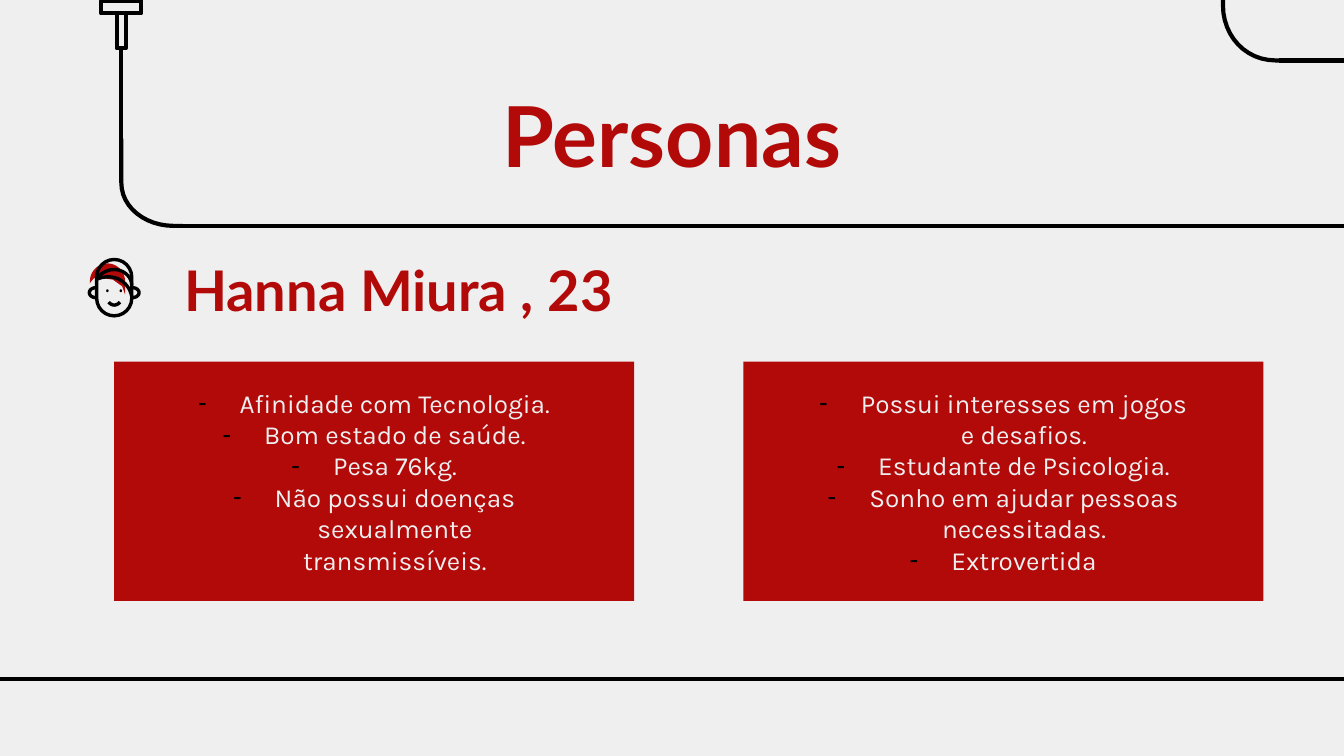
"""Build the "Personas" slide with one persona and two trait panels."""
import pptx
import pptx.util
import pptx.dml.color
import pptx.enum.shapes
import pptx.enum.text
import pptx.oxml.ns
from lxml import etree

Pt = pptx.util.Pt
RED = pptx.dml.color.RGBColor(0xB2, 0x09, 0x09)
BLACK = pptx.dml.color.RGBColor(0, 0, 0)
PAPER = pptx.dml.color.RGBColor(0xEF, 0xEF, 0xEF)
SHAPE = pptx.enum.shapes.MSO_SHAPE
ANCHOR = pptx.enum.text.MSO_ANCHOR
STROKE = 2.25
FACE_STROKE = 1.8


class PersonaSlide:
    def __init__(self, deck, layout_index):
        self.slide = deck.slides.add_slide(deck.slide_layouts[layout_index])
        self.slide.background.fill.solid()
        self.slide.background.fill.fore_color.rgb = PAPER

    def paint(self, shape, fill=None, stroke=None):
        shape.shadow.inherit = False
        if fill is None:
            shape.fill.background()
        else:
            shape.fill.solid()
            shape.fill.fore_color.rgb = fill
        if stroke is None:
            shape.line.fill.background()
        else:
            shape.line.color.rgb = BLACK
            shape.line.width = Pt(stroke)
        return shape

    def preset(self, kind, left, top, width, height, fill=None, stroke=None):
        shape = self.slide.shapes.add_shape(
            kind, Pt(left), Pt(top), Pt(width), Pt(height))
        return self.paint(shape, fill, stroke)

    def line(self, x1, y1, x2, y2, start=None):
        connector = self.slide.shapes.add_connector(
            pptx.enum.shapes.MSO_CONNECTOR.STRAIGHT, Pt(x1), Pt(y1), Pt(x2), Pt(y2))
        connector.line.color.rgb = BLACK
        connector.line.width = Pt(STROKE)
        etree.SubElement(connector._element.spPr, pptx.oxml.ns.qn("a:effectLst"))
        if start is not None:
            connector.begin_connect(start, 2)

    def curve(self, start, steps, fill=None, stroke=None):
        """Draw a path whose steps are line ends (x, y) or Bézier triples."""
        points = [start]
        for step in steps:
            if len(step) == 2:
                points.append(step)
                continue
            knots = [points[-1], step[:2], step[2:4], step[4:]]
            for i in range(1, 13):
                t = i / 12
                weights = ((1 - t) ** 3, 3 * t * (1 - t) ** 2, 3 * t * t * (1 - t), t ** 3)
                points.append(tuple(
                    sum(w * knot[axis] for w, knot in zip(weights, knots))
                    for axis in (0, 1)))
        corners = [(Pt(x), Pt(y)) for x, y in points]
        builder = self.slide.shapes.build_freeform(*corners[0])
        builder.add_line_segments(corners[1:], close=fill is not None)
        self.paint(builder.convert_to_shape(), fill, stroke)

    def place(self, index, box, side_inset, anchor):
        holder = self.slide.placeholders[index]
        holder.left, holder.top, holder.width, holder.height = map(Pt, box)
        frame = holder.text_frame
        frame.word_wrap = True
        frame.auto_size = pptx.enum.text.MSO_AUTO_SIZE.NONE
        frame.vertical_anchor = anchor
        frame.margin_left = frame.margin_right = Pt(side_inset)
        frame.margin_top = frame.margin_bottom = Pt(7.2)
        return holder

    def style(self, paragraph, font, size, color, bold):
        paragraph.alignment = pptx.enum.text.PP_ALIGN.CENTER
        paragraph.space_before = Pt(0)
        paragraph.font.name = font
        paragraph.font.size = Pt(size)
        paragraph.font.color.rgb = color
        paragraph.font.bold = bold

    def heading(self, index, text, size, box, side_inset, anchor):
        frame = self.place(index, box, side_inset, anchor).text_frame
        frame.text = text
        self.style(frame.paragraphs[0], "Lato", size, RED, True)

    def panel(self, index, traits, left):
        holder = self.place(index, (left, 193.7, 278.6, 128.2), 36, ANCHOR.MIDDLE)
        holder.fill.solid()
        holder.fill.fore_color.rgb = RED
        holder.text_frame.text = "\n".join(traits)
        for paragraph in holder.text_frame.paragraphs:
            self.style(paragraph, "Karla", 14, PAPER, False)
            self.dash(paragraph)

    def dash(self, paragraph):
        qn = pptx.oxml.ns.qn
        properties = paragraph._p.get_or_add_pPr()
        properties.set("marL", str(Pt(22.3)))
        properties.set("indent", str(-Pt(22.3)))
        tint = etree.Element(qn("a:buClr"))
        etree.SubElement(tint, qn("a:srgbClr"), val=str(BLACK))
        mark = etree.Element(qn("a:buChar"), char="-")
        default_run = properties.find(qn("a:defRPr"))
        default_run.addprevious(tint)
        default_run.addprevious(mark)

    def discard(self, index):
        holder = self.slide.placeholders[index]._element
        holder.getparent().remove(holder)

    def frame_lines(self):
        self.curve((655.2, -26), [(655.2, 2.9), (655.2, 19.4, 667.4, 32.4, 683.3, 32.4),
                                  (688.3, 32.4)], stroke=STROKE)
        self.line(685.4, 32.4, 781.2, 32.4)
        self.line(-3.6, 363.6, 721.4, 363.6)
        shaft = self.preset(SHAPE.RECTANGLE, 62.5, 7.2, 5, 18.7, stroke=STROKE)
        self.preset(SHAPE.RECTANGLE, 54.2, 0.7, 21.6, 6.5, stroke=STROKE)
        self.line(65, 25.9, 65, 82.8, start=shaft)
        self.curve((65, 74.2), [(65, 97.9), (65, 111, 77.8, 121, 92.9, 121),
                                (97.9, 121)], stroke=STROKE)
        self.line(95, 121, 720.7, 121)

    def face(self):
        self.curve((57.6, 141.1), [
            (52.6, 141.1, 48.2, 145.4, 48.2, 150.5), (48.2, 151.9),
            (49.7, 148.3, 53.3, 146.2, 57.6, 146.2),
            (61.2, 146.2, 64.8, 148.3, 67, 151.9), (67, 150.5),
            (67, 145.4, 62.6, 141.1, 57.6, 141.1)], fill=RED)
        self.curve((48.2, 151.2), [
            (50.4, 146.9), (60.5, 144.7), (65.5, 147.6), (67, 151.2), (67, 157.7),
            (65.5, 153.4), (60.5, 149.8), (54.7, 149), (50.4, 149), (49, 150.5)], fill=RED)
        head = self.preset(SHAPE.ROUNDED_RECTANGLE, 51.8, 139, 18.8, 30.2, stroke=FACE_STROKE)
        head.adjustments[0] = 0.5
        fringes = [
            ((51.8, 150), [(53, 147, 57, 144.4, 61.2, 144.4),
                           (66, 144.4, 70.6, 148, 70.6, 153)]),
            ((52.5, 149.4), [(54, 148.7, 56, 148.3, 58.3, 148.3),
                             (64, 148.3, 69.5, 152.5, 70.6, 159)])]
        ears = [((side, 154.1), [(tip, 154.1, tip, 159.5, side, 159.5)])
                for side, tip in ((51.8, 46.6), (70.6, 75.8))]
        mouth = ((58.2, 161.9), [(60, 164, 62.5, 164, 64.3, 161.9)])
        for start, steps in fringes + ears + [mouth]:
            self.curve(start, steps, stroke=FACE_STROKE)
        for eye in (56.9, 64.1):
            self.preset(SHAPE.OVAL, eye, 155, 1.3, 1.6, fill=BLACK)


def main():
    deck = pptx.Presentation()
    deck.slide_width, deck.slide_height = Pt(720), Pt(405)
    personas = PersonaSlide(deck, 4)
    personas.heading(0, "Personas", 45, (130.3, 49, 459.4, 45.4), 7.2, ANCHOR.MIDDLE)
    personas.heading(1, "Hanna Miura , 23", 30, (-13.7, 129.6, 454.3, 30.2), 14.4, ANCHOR.TOP)
    personas.panel(2, ["Afinidade com Tecnologia.", "Bom estado de saúde.", "Pesa 76kg.",
                       "Não possui doenças sexualmente transmissíveis."], 61.2)
    personas.panel(4, ["Possui interesses em jogos e desafios.", "Estudante de Psicologia.",
                       "Sonho em ajudar pessoas necessitadas.", "Extrovertida"], 398.2)
    personas.discard(3)
    personas.frame_lines()
    personas.face()
    deck.save("out.pptx")


if __name__ == "__main__":
    main()
